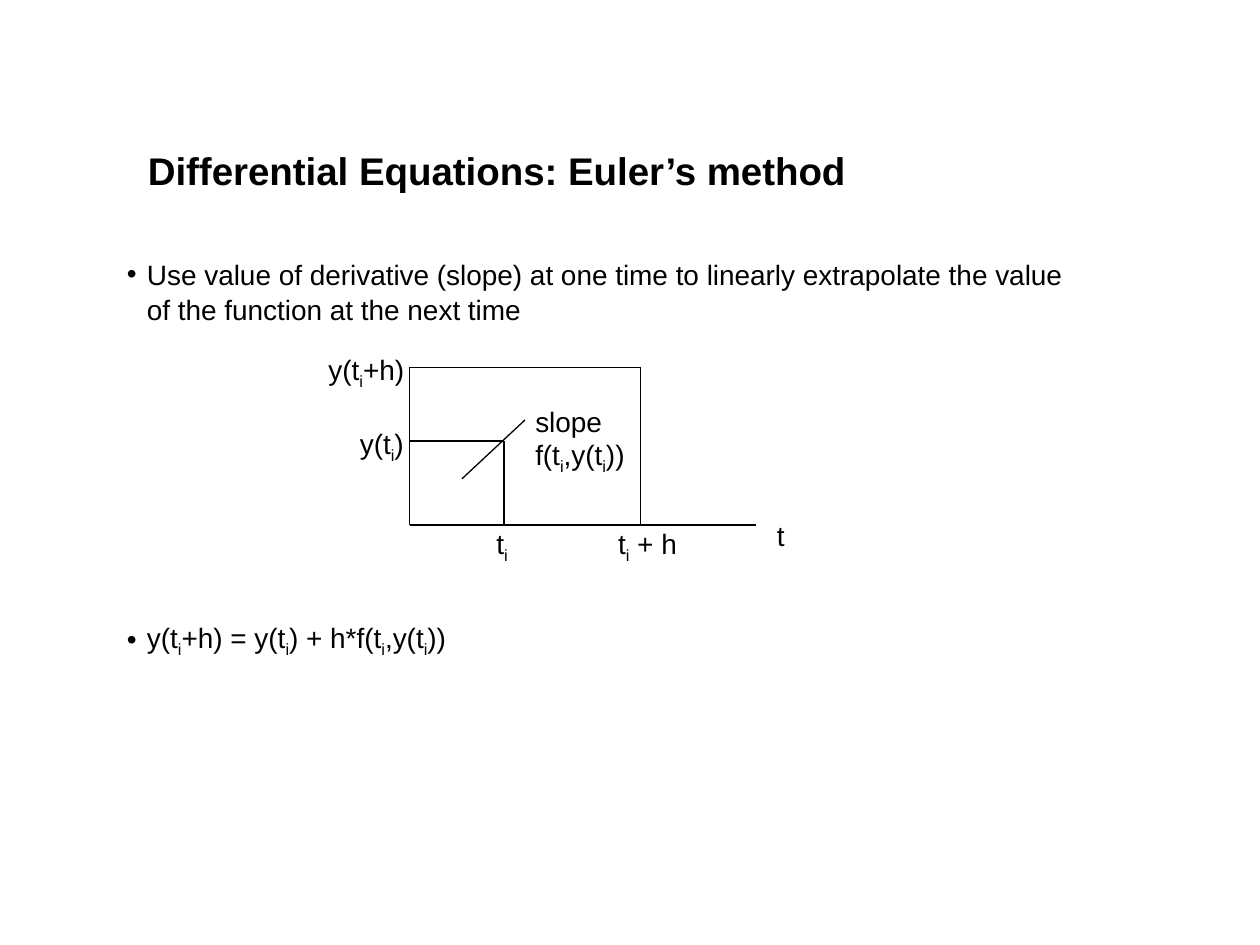
from lxml import etree
from pptx import Presentation
from pptx.dml.color import RGBColor
from pptx.enum.shapes import MSO_CONNECTOR
from pptx.enum.text import MSO_ANCHOR, MSO_AUTO_SIZE
from pptx.oxml.ns import qn
from pptx.util import Inches, Pt

STRAIGHT = MSO_CONNECTOR.STRAIGHT
BOTTOM = MSO_ANCHOR.BOTTOM
TOP = MSO_ANCHOR.TOP
FIT_SHAPE = MSO_AUTO_SIZE.SHAPE_TO_FIT_TEXT
NO_FIT = MSO_AUTO_SIZE.NONE

FONT = "Arial"
INK = "000000"
BODY_SIZE = 16
SUBSCRIPT = "_i"

AXIS_LEFT, AXIS_RIGHT = 39, 72
TIME_NOW, TIME_NEXT = 48, 61
VALUE_NEXT, VALUE_NOW, AXIS_BASE = 35, 42, 50


def grid(units):
    return Inches(units / 12)


def color(value):
    return RGBColor.from_string(value)


def write_formula(paragraph, formula, size=BODY_SIZE, bold=False):
    for index, part in enumerate(formula.split(SUBSCRIPT)):
        if index:
            subscript = paragraph.add_run()
            subscript.text = "i"
            subscript._r.get_or_add_rPr().set("baseline", "-25000")
        if part:
            paragraph.add_run().text = part
    for run in paragraph.runs:
        run.font.name = FONT
        run.font.size = Pt(size)
        run.font.bold = bold
        run.font.color.rgb = color(INK)


def add_text(slide, column, row, width, height, lines, wrap=False,
             anchor=TOP, **style):
    box = slide.shapes.add_textbox(*map(grid, (column, row, width, height)))
    frame = box.text_frame
    frame.word_wrap = wrap
    frame.auto_size = NO_FIT if wrap else FIT_SHAPE
    frame.vertical_anchor = anchor
    for index, line in enumerate(lines):
        paragraph = frame.add_paragraph() if index else frame.paragraphs[0]
        write_formula(paragraph, line, **style)
    return frame


def add_bullets(frame, gap):
    for index, paragraph in enumerate(frame.paragraphs):
        properties = paragraph._p.get_or_add_pPr()
        indent = Inches(0.16)
        properties.set("marL", str(indent))
        properties.set("indent", str(-indent))
        etree.SubElement(properties, qn("a:buFont")).set("typeface", FONT)
        etree.SubElement(properties, qn("a:buChar")).set("char", "•")
        paragraph.font.size = Pt(BODY_SIZE)
        paragraph.line_spacing = Pt(20)
        paragraph.space_before = Pt(gap if index else 0)
        paragraph.space_after = Pt(6)


def add_line(slide, start, end):
    line = slide.shapes.add_connector(STRAIGHT, *map(grid, start + end))
    line.line.color.rgb = color(INK)
    line.line.width = Pt(0.75)
    etree.SubElement(line._element.spPr, qn("a:effectLst"))


def add_diagram(slide):
    origin = (AXIS_LEFT, AXIS_BASE)
    top_left = (AXIS_LEFT, VALUE_NEXT)
    top_right = (TIME_NEXT, VALUE_NEXT)
    current = (TIME_NOW, VALUE_NOW)
    for start, end in (
        (top_left, origin),
        (origin, (AXIS_RIGHT, AXIS_BASE)),
        (current, (TIME_NOW, AXIS_BASE)),
        (top_right, (TIME_NEXT, AXIS_BASE)),
        ((50, 40), (44, 45.6)),
        ((AXIS_LEFT, VALUE_NOW), current),
        (top_left, top_right),
    ):
        add_line(slide, start, end)

    for column, row, width, height, lines in (
        (72.8, 48.8, 3.2, 4.4, ["t"]),
        (46.1, 49.6, 3.6, 4.9, ["t_i"]),
        (57.7, 49.6, 8.4, 4.9, ["t_i + h"]),
        (33.1, 40, 6.7, 4.9, ["y(t_i)"]),
        (30.1, 33, 9.7, 4.9, ["y(t_i+h)"]),
        (49.8, 37.9, 11, 8, ["slope", "f(t_i,y(t_i))"]),
    ):
        add_text(slide, column, row, width, height, lines)


def main():
    presentation = Presentation()
    presentation.slide_width = Inches(10)
    presentation.slide_height = Inches(7.5)
    slide = presentation.slides.add_slide(presentation.slide_layouts[6])

    add_text(slide, 12.9, 13.3, 91, 5.7,
             ["Differential Equations: Euler’s method"],
             wrap=True, anchor=BOTTOM, size=22, bold=True)
    body = add_text(slide, 10.9, 23.8, 92.6, 54, [
        "Use value of derivative (slope) at one time to linearly extrapolate "
        "the value of the function at the next time",
        "y(t_i+h) = y(t_i) + h*f(t_i,y(t_i))",
    ], wrap=True)
    add_bullets(body, gap=164)
    add_diagram(slide)

    presentation.save("out.pptx")


if __name__ == "__main__":
    main()
